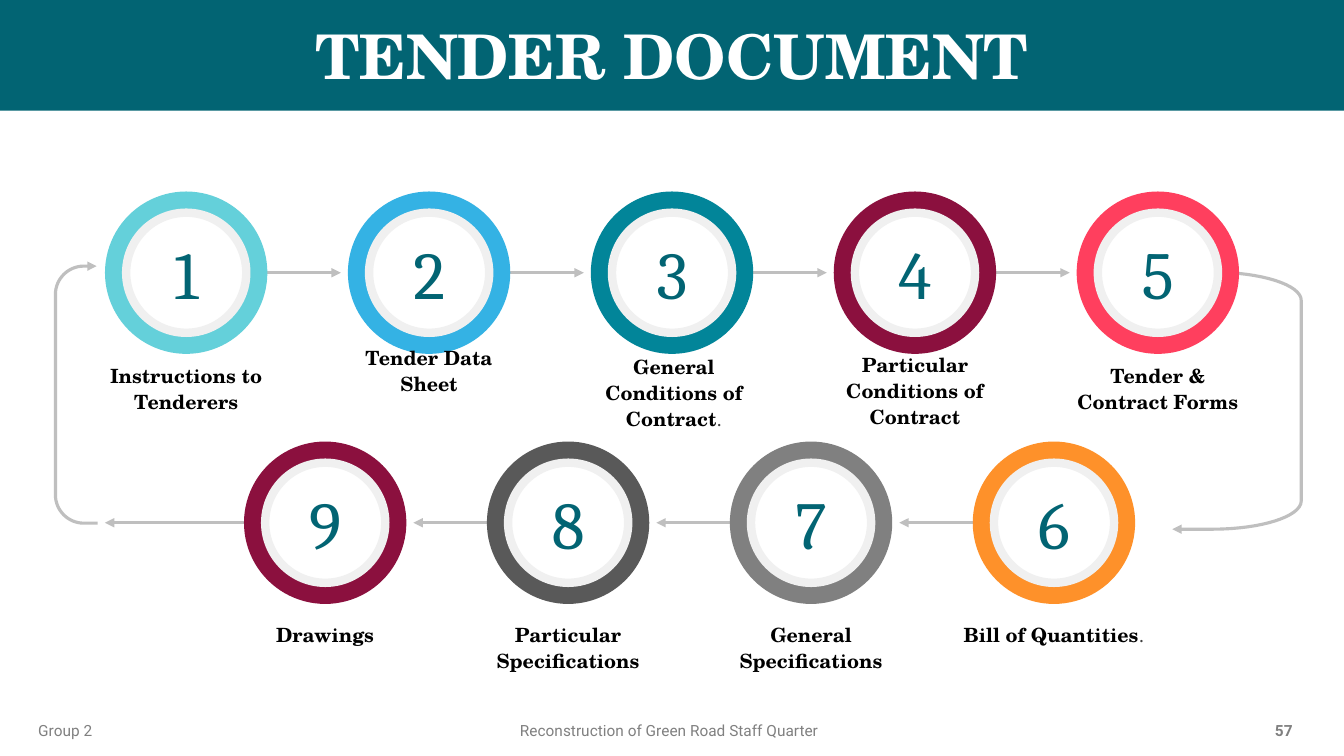
from lxml import etree
from pptx import Presentation
from pptx.dml.color import RGBColor
from pptx.enum.shapes import MSO_CONNECTOR, MSO_SHAPE
from pptx.enum.text import MSO_ANCHOR, PP_ALIGN
from pptx.oxml.ns import qn
from pptx.util import Pt

OVAL, RECT = MSO_SHAPE.OVAL, MSO_SHAPE.RECTANGLE
STRAIGHT = MSO_CONNECTOR.STRAIGHT
TOP, MIDDLE, BOTTOM = MSO_ANCHOR.TOP, MSO_ANCHOR.MIDDLE, MSO_ANCHOR.BOTTOM
LEFT, CENTER = PP_ALIGN.LEFT, PP_ALIGN.CENTER

SERIF, DIGITS, SANS = "TeX Gyre Schola", "Cambria", "Roboto"
TEAL, WHITE, GRAY, ARROW = "026473", "FFFFFF", "808080", "BFBFBF"
WIDTH, HEIGHT = 960, 540
RING, INSET, PITCH = 116, 15.1, 173.52
LABEL_WIDTH, HEAD_GAP = 134.6, 5

# number, ring colour, label, label shift, label top, label height
TOP_STEPS = [
    ("1", "64D0DA", "Instructions to Tenderers", 0, 259.2, 36),
    ("2", "34B2E4", "Tender Data Sheet", 0, 265, 17.3),
    ("3", "028599", "General Conditions of Contract.", 1.4, 252.7, 54.7),
    ("4", "8B103E", "Particular Conditions of Contract", 0, 251.3, 54.7),
    ("5", "FF3F5E", "Tender & Contract Forms", 0, 259.2, 36),
]
BOTTOM_STEPS = [
    ("9", "8B103E", "Drawings", 0, 443.5, 17.3),
    ("8", "595959", "Particular Specifications", 0, 443.5, 36),
    ("7", "808080", "General Specifications", 0, 443.5, 36),
    ("6", "FE912A", "Bill of Quantities.", 0, 443.5, 17.3),
]


def rgb(color):
    return RGBColor.from_string(color)


def write(sp, text, size, font, color, bold=False, align=CENTER, anchor=MIDDLE,
          spacing=None, margin=None):
    tf = sp.text_frame
    tf.word_wrap = True
    tf.vertical_anchor = anchor
    if margin is not None:
        tf.margin_left = tf.margin_right = Pt(margin)
        tf.margin_top = tf.margin_bottom = Pt(margin)
    p = tf.paragraphs[0]
    p.alignment = align
    if spacing:
        p.line_spacing = spacing
    # a closing full stop is lighter than the rest of its label
    body = text.rstrip(".")
    for part, part_color, part_bold in ((body, color, bold),
                                        (text[len(body):], "404040", False)):
        if part:
            r = p.add_run()
            r.text = part
            r.font.size, r.font.name, r.font.bold = Pt(size), font, part_bold
            r.font.color.rgb = rgb(part_color)


def add_text(s, x, y, w, h, text, **style):
    write(s.shapes.add_textbox(Pt(x), Pt(y), Pt(w), Pt(h)), text, **style)


def add_shape(shapes, kind, x, y, w, h, fill, line=None, weight=0):
    sp = shapes.add_shape(kind, Pt(x), Pt(y), Pt(w), Pt(h))
    sp.shadow.inherit = False
    sp.fill.solid()
    sp.fill.fore_color.rgb = rgb(fill)
    if line:
        sp.line.color.rgb = rgb(line)
        sp.line.width = Pt(weight)
    else:
        sp.line.fill.background()
    return sp


def style_arrow(sp):
    sp.line.color.rgb = rgb(ARROW)
    sp.line.width = Pt(2.25)
    ln = sp.line._get_or_add_ln()
    etree.SubElement(ln, qn("a:tailEnd"), type="triangle")


def add_arrow(s, x1, x2, y):
    c = s.shapes.add_connector(STRAIGHT, Pt(x1), Pt(y), Pt(x2), Pt(y))
    style_arrow(c)
    etree.SubElement(c._element.spPr, qn("a:effectLst"))


def bezier(a, b, c, d, steps=16):
    for i in range(1, steps + 1):
        t = i / steps
        u = 1 - t
        yield tuple(u**3 * k + 3 * u * u * t * m + 3 * u * t * t * n + t**3 * q
                    for k, m, n, q in zip(a, b, c, d))


def add_loop(s, start_x, bend_x, edge_x, end_x, start_y, end_y):
    """Arrow that leaves sideways, turns along edge_x and comes back."""
    radius = 20.2 if end_y > start_y else -20.2
    near, far = start_y + radius, end_y - radius
    mid_x = bend_x + (edge_x - bend_x) * 0.55
    points = [(bend_x, start_y)]
    points += bezier((bend_x, start_y), (mid_x, start_y),
                     (edge_x, start_y + radius * 0.45), (edge_x, near))
    points.append((edge_x, far))
    points += bezier((edge_x, far), (edge_x, end_y - radius * 0.45),
                     (mid_x, end_y), (bend_x, end_y))
    points.append((end_x, end_y))
    fb = s.shapes.build_freeform(Pt(start_x), Pt(start_y))
    fb.add_line_segments([(Pt(x), Pt(y)) for x, y in points], close=False)
    sp = fb.convert_to_shape()
    sp.shadow.inherit = False
    sp.fill.background()
    style_arrow(sp)


def add_ring(s, x, y, number, color):
    group = s.shapes.add_group_shape()
    add_shape(group.shapes, OVAL, x, y, RING, RING, color)
    core = RING - 2 * INSET
    sp = add_shape(group.shapes, OVAL, x + INSET, y + INSET, core, core,
                   WHITE, "F0F0F0", 6)
    write(sp, number, size=48, font=DIGITS, color=TEAL)


def add_row(s, x, y, steps, anchor):
    for i, (number, color, label, shift, top, height) in enumerate(steps):
        left = x + i * PITCH
        add_ring(s, left, y, number, color)
        add_text(s, left + (RING - LABEL_WIDTH) / 2 + shift, top,
                 LABEL_WIDTH, height, label, size=14, font=SERIF,
                 color="000000", bold=True, anchor=anchor, spacing=1.1, margin=0)


def add_row_arrows(s, x, y, gaps, forward):
    for i in range(gaps):
        right_edge = x + i * PITCH + RING
        next_left = x + (i + 1) * PITCH
        if forward:
            add_arrow(s, right_edge, next_left - HEAD_GAP, y + RING / 2)
        else:
            add_arrow(s, next_left, right_edge + HEAD_GAP, y + RING / 2)


def add_banner(s, x, y, w, h):
    sp = add_shape(s.shapes, RECT, x, y, w, h, TEAL)
    write(sp, "TENDER DOCUMENT", size=44, font=SERIF, color=WHITE, bold=True)


def add_process(s, x, y):
    low_x, low_y = x + 99.3, y + 178.6
    # loops joining the two rows
    add_loop(s, 834.5, 866.2, 929.5, 837.4, 194.4, 378)
    add_loop(s, 69.8, 59.8, 39.6, 69.1, 373.7, 190.1)
    # arrows
    add_row_arrows(s, x, y, len(TOP_STEPS) - 1, True)
    add_row_arrows(s, low_x, low_y, len(BOTTOM_STEPS) - 1, False)
    add_arrow(s, low_x, x, low_y + RING / 2)
    # numbered rings with labels
    add_row(s, x, y, TOP_STEPS, BOTTOM)
    add_row(s, low_x, low_y, BOTTOM_STEPS, TOP)


def add_footer(s, y, h):
    for x, w, text, bold in (
            (20.2, 79.2, "Group 2", False),
            (364.3, 231.1, "Reconstruction of Green Road Staff Quarter", False),
            (903.6, 28.1, "57", True)):
        add_text(s, x, y, w, h, text, size=11, font=SANS, color=GRAY,
                 bold=bold, align=LEFT, anchor=TOP)


def main():
    prs = Presentation()
    prs.slide_width, prs.slide_height = Pt(WIDTH), Pt(HEIGHT)
    s = prs.slides.add_slide(prs.slide_layouts[6])
    add_banner(s, 0, 0, WIDTH, 79)
    add_process(s, 75, 136.8)
    add_footer(s, 511.2, 20.9)
    prs.save("out.pptx")


if __name__ == "__main__":
    main()
